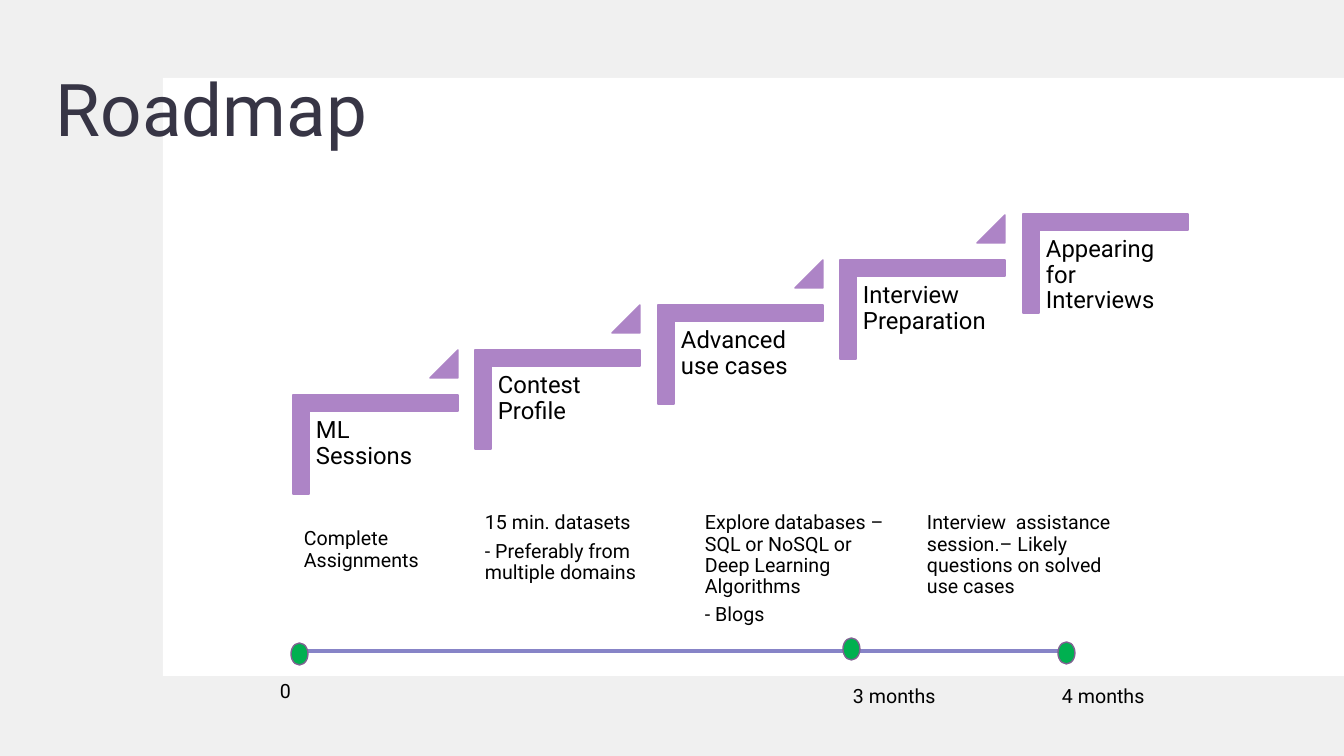
"""Build the Roadmap slide: five rising steps above a timeline."""
import pptx
import pptx.util
import pptx.dml.color
import pptx.enum.shapes
import pptx.enum.text
import pptx.oxml.ns
import lxml.etree

RGBColor = pptx.dml.color.RGBColor
SHAPE = pptx.enum.shapes.MSO_SHAPE
ANCHOR = pptx.enum.text.MSO_ANCHOR

BACKDROP = RGBColor(0xF0, 0xF0, 0xF0)
WHITE = RGBColor(0xFF, 0xFF, 0xFF)
BLACK = RGBColor(0, 0, 0)
INK = RGBColor(0x37, 0x35, 0x45)
PURPLE = RGBColor(0xAD, 0x84, 0xC6)
BLUE = RGBColor(0x87, 0x84, 0xC7)
GREEN = RGBColor(0x00, 0xB0, 0x50)
VIOLET = RGBColor(0x80, 0x62, 0x92)

HEADING = "Roadmap"
STEPS = ["ML Sessions", "Contest Profile", "Advanced use cases",
         "Interview Preparation", "Appearing for Interviews"]
DETAILS = [
    (297, 522, ["Complete Assignments"]),
    (478, 506, ["15 min. datasets", "- Preferably from multiple domains"]),
    (698, 506, ["Explore databases –SQL or NoSQL or Deep Learning Algorithms",
                "- Blogs"]),
    (920, 506, ["Interview  assistance session.– Likely questions on solved use cases"]),
]
MILESTONES = [
    {"dot": (291, 643), "label": (273, 675, 78, 40), "text": "0"},
    {"dot": (843, 638), "label": (846, 680, 113, 40), "text": "3 months"},
    {"dot": (1058, 642), "label": (1055, 680, 113, 40), "text": "4 months"},
]
STAIR_RUN, STAIR_RISE = 730, 181
PX = 914400 / 100.8


def emu(*pixels):
    return [pptx.util.Emu(round(p * PX)) for p in pixels]


def write(frame, paragraphs, size=14, color=BLACK, anchor=ANCHOR.TOP, inset=7, after=5):
    frame.word_wrap = True
    frame.auto_size = pptx.enum.text.MSO_AUTO_SIZE.NONE
    frame.vertical_anchor = anchor
    (frame.margin_left, frame.margin_top,
     frame.margin_right, frame.margin_bottom) = emu(*[inset] * 4)
    for index, text in enumerate(paragraphs):
        paragraph = frame.add_paragraph() if index else frame.paragraphs[0]
        paragraph.alignment = pptx.enum.text.PP_ALIGN.LEFT
        paragraph.line_spacing = 0.9
        paragraph.space_before = pptx.util.Pt(0)
        paragraph.space_after = pptx.util.Pt(after)
        run = paragraph.add_run()
        run.text = text
        run.font.name = "Roboto"
        run.font.size = pptx.util.Pt(size)
        run.font.color.rgb = color


def draw(kind, box, fill, line=None):
    shape = shapes.add_shape(kind, *emu(*box))
    shape.shadow.inherit = False
    shape.fill.solid()
    shape.fill.fore_color.rgb = fill
    if line is None:
        shape.line.fill.background()
    else:
        shape.line.color.rgb = line
        shape.line.width = pptx.util.Pt(1)
    return shape


def label(box, paragraphs, **style):
    write(shapes.add_textbox(*emu(*box)).text_frame, paragraphs, **style)


deck = pptx.Presentation()
deck.slide_width, deck.slide_height = emu(1344, 756)
slide = deck.slides.add_slide(deck.slide_layouts[5])
shapes = slide.shapes

draw(SHAPE.RECTANGLE, (0, 0, 1344, 756), BACKDROP)
draw(SHAPE.RECTANGLE, (163, 78, 1181, 598), WHITE)

heading = shapes.title
heading.left, heading.top, heading.width, heading.height = emu(46, 40, 1162, 146)
write(heading.text_frame, [HEADING], size=52, color=INK,
      anchor=ANCHOR.MIDDLE, inset=10, after=0)
heading.element.getparent().append(heading.element)

for index, step in enumerate(STEPS):
    right = STAIR_RUN * index // (len(STEPS) - 1)
    up = STAIR_RISE * index // (len(STEPS) - 1)
    bracket = draw(SHAPE.CORNER, (326 + right, 362 - up, 99, 165), PURPLE, PURPLE)
    bracket.rotation = 90
    bracket.adjustments[0] = bracket.adjustments[1] = 0.16
    label((309 + right, 411 - up, 149, 131), [step], size=17, after=6)
    if index < len(STEPS) - 1:
        pointer = draw(SHAPE.ISOSCELES_TRIANGLE, (430 + right, 350 - up, 28, 28),
                       PURPLE, PURPLE)
        pointer.adjustments[0] = 1

for left, top, paragraphs in DETAILS:
    label((left, top, 202, 83), paragraphs)

timeline = shapes.add_connector(pptx.enum.shapes.MSO_CONNECTOR.STRAIGHT,
                                *emu(297, 651, 1067, 651))
timeline.line.color.rgb = BLUE
timeline.line.width = pptx.util.Pt(3)
lxml.etree.SubElement(timeline.element.spPr, pptx.oxml.ns.qn("a:effectLst"))

for milestone in MILESTONES:
    draw(SHAPE.OVAL, (*milestone["dot"], 17, 22), GREEN, VIOLET)
    label(milestone["label"], [milestone["text"]])

deck.save("out.pptx")
